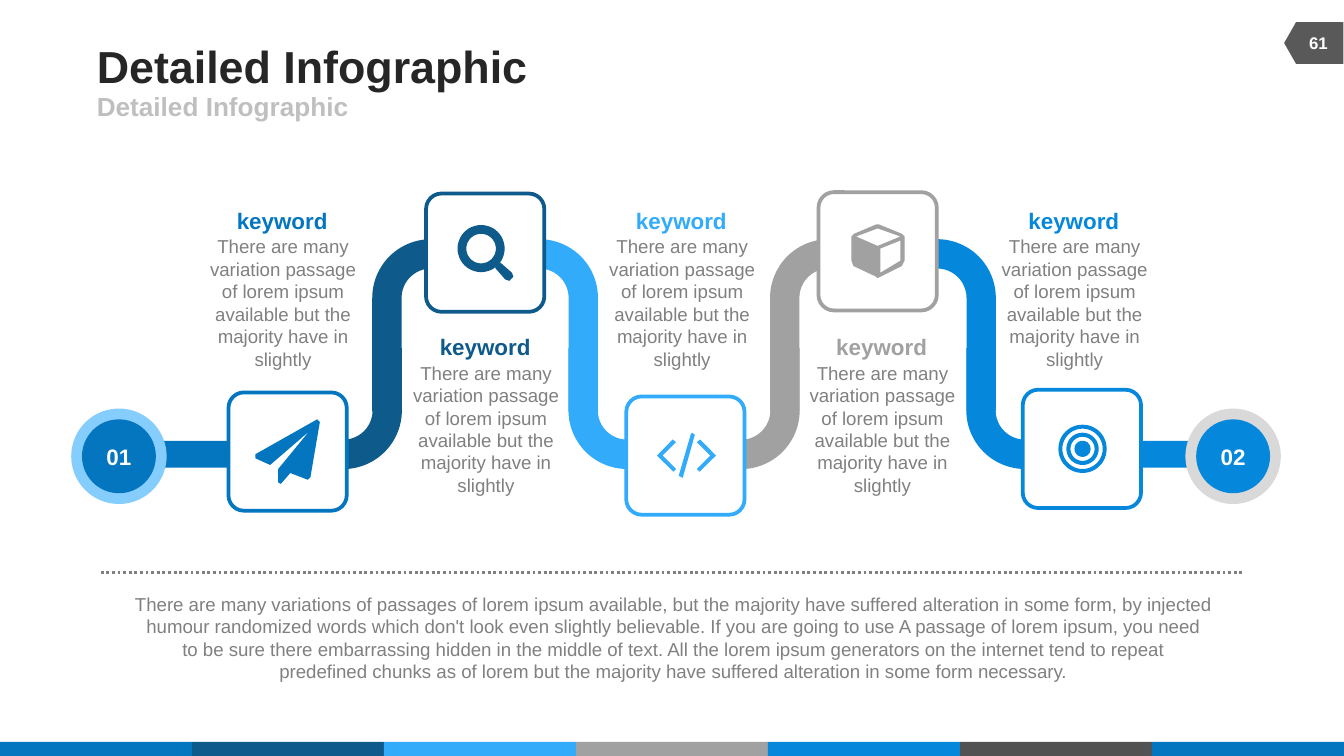
"""Builds a five-step winding process infographic on a grid of 0.1 inch cells."""
import math

import lxml.etree
import pptx
import pptx.dml.color
import pptx.enum.dml
import pptx.enum.shapes
import pptx.enum.text
import pptx.oxml.ns
import pptx.util

RGBColor = pptx.dml.color.RGBColor
Shape = pptx.enum.shapes.MSO_SHAPE
Anchor = pptx.enum.text.MSO_ANCHOR
Align = pptx.enum.text.PP_ALIGN

BLUE = RGBColor(0x04, 0x76, 0xBF)
NAVY = RGBColor(0x0E, 0x5A, 0x8B)
SKY = RGBColor(0x32, 0xAC, 0xFA)
SILVER = RGBColor(0xA1, 0xA1, 0xA1)
AZURE = RGBColor(0x05, 0x88, 0xDB)
CHARCOAL = RGBColor(0x52, 0x52, 0x52)
TAG_GREY = RGBColor(0x59, 0x59, 0x59)
TITLE_INK = RGBColor(0x26, 0x26, 0x26)
SUBTITLE_GREY = RGBColor(0xBF, 0xBF, 0xBF)
TEXT_GREY = RGBColor(0x80, 0x80, 0x80)
PALE_BLUE = RGBColor(0x84, 0xCD, 0xFC)
PALE_GREY = RGBColor(0xD9, 0xD9, 0xD9)
WHITE = RGBColor(0xFF, 0xFF, 0xFF)

COLUMNS, ROWS = 100, 56.25
TILE = 8.8
SHAFT = 2.2
CAPTION = "There are many variation passage\vof lorem ipsum available but the majority have in slightly"
SUMMARY = (
    "There are many variations of passages of lorem ipsum available, but the majority have "
    "suffered alteration in some form, by injected humour randomized words which don't look "
    "even slightly believable. If you are going to use A passage of lorem ipsum, you need\v"
    "to be sure there embarrassing hidden in the middle of text. All the lorem ipsum "
    "generators on the internet tend to repeat\vpredefined chunks as of lorem but the "
    "majority have suffered alteration in some form necessary."
)


def cells(*lengths):
    """Turn grid lengths into slide lengths."""
    return [pptx.util.Inches(length / 10) for length in lengths]


def circle(x, y, radius, steps=48):
    """Return the points of a circle."""
    angles = [2 * math.pi * step / steps for step in range(steps)]
    return [(x + radius * math.cos(a), y + radius * math.sin(a)) for a in angles]


PLANE = [[(240, -220), (170, 190), (150, 210), (20, 160), (-50, 240), (-70, 230), (-70, 130),
          (160, -150), (-130, 100), (-240, 50), (-240, 20), (220, -240)]]
MAGNIFIER = [circle(-30, -30, 175), circle(-30, -30, 110),
             [(115, 75), (200, 150), (210, 180), (180, 210), (150, 200), (75, 115)]]
CHEVRON = [(-90, 120), (-212, 0), (-95, -120), (-70, -100), (-170, 0), (-70, 100)]
CODE = [CHEVRON, [(15 - x, y) for x, y in CHEVRON],
        [(-20, 165), (-50, 150), (40, -160), (50, -170), (70, -155)]]
CUBE = [[(200, 70), (180, 110), (20, 190), (0, 200), (-10, 190), (-180, 110), (-195, 70),
         (-195, -110), (-175, -130), (-10, -200), (10, -200), (180, -130), (200, -110)],
        [(170, -110), (0, -170), (-160, -110), (0, -40)],
        [(170, 70), (170, -80), (20, -20), (20, 160)]]
TARGET = [circle(5, 0, radius) for radius in (180, 150, 120, 90, 60)]

STEPS = [
    (BLUE, (21.4, 33.6), (14.8, 15.4), PLANE),
    (NAVY, (36.1, 18.8), (29.9, 24.8), MAGNIFIER),
    (SKY, (51, 33.9), (44.5, 15.4), CODE),
    (SILVER, (65.3, 18.7), (59.4, 24.8), CUBE),
    (AZURE, (80.5, 33.4), (73.7, 15.4), TARGET),
]
BENDS = [(NAVY, 27.7), (SKY, 42.3), (SILVER, 57.3), (AZURE, 71.9)]


def write(box, text, size, color, bold=False, align=Align.CENTER, anchor=Anchor.MIDDLE, wrap=True):
    """Fill a shape with one formatted paragraph and no insets."""
    frame = box.text_frame
    frame.auto_size = pptx.enum.text.MSO_AUTO_SIZE.NONE
    frame.margin_left = frame.margin_right = frame.margin_top = frame.margin_bottom = 0
    frame.word_wrap = wrap
    frame.vertical_anchor = anchor
    frame.text = text
    para = frame.paragraphs[0]
    para.alignment = align
    para.space_before = pptx.util.Pt(0)
    for span in para.runs:
        span.font.name = "Arial"
        span.font.size = pptx.util.Pt(size)
        span.font.bold = bold
        span.font.color.rgb = color


def add_text(page, bounds, text, size, color, **options):
    """Add a text box."""
    write(page.shapes.add_textbox(*cells(*bounds)), text, size, color, **options)


def add_block(page, kind, bounds, fill, outline=None, adjustments=()):
    """Add a flat preset shape."""
    block = page.shapes.add_shape(kind, *cells(*bounds))
    block.shadow.inherit = False
    block.fill.solid()
    block.fill.fore_color.rgb = fill
    if outline is None:
        block.line.fill.background()
    else:
        block.line.color.rgb = outline
        block.line.width = pptx.util.Pt(2)
    for index, value in enumerate(adjustments):
        block.adjustments[index] = value
    return block


def add_bend(page, color, left, rising):
    """Add an S-shaped link made of an upper and a lower bent band."""
    inner = left + SHAFT - 8.4
    shape = (0.26, 0.13, 0, 0.52)
    upper = add_block(page, Shape.BENT_ARROW, (left if rising else inner, 17.8, 8.4, 12.8),
                      color, adjustments=shape)
    lower = add_block(page, Shape.BENT_ARROW, (inner if rising else left, 25.9, 8.4, 9),
                      color, adjustments=shape)
    if rising:
        lower.rotation = 180
    else:
        upper.element.spPr.xfrm.set("flipH", "1")
        lower.element.spPr.xfrm.set("flipV", "1")


def add_icon(page, center, contours, color):
    """Add a filled outline, drawn in thousandths of an inch around its center."""
    builder = page.shapes.build_freeform(*contours[0][0], scale=pptx.util.Inches(0.001))
    for index, points in enumerate(contours):
        if index:
            builder.move_to(*points[0])
        builder.add_line_segments(points[1:], close=True)
    icon = builder.convert_to_shape(*cells(*center))
    icon.shadow.inherit = False
    icon.fill.solid()
    icon.fill.fore_color.rgb = color
    icon.line.fill.background()


def add_step(page, color, center, contours):
    """Add a rounded tile with its icon."""
    x, y = center
    add_block(page, Shape.ROUNDED_RECTANGLE, (x - TILE / 2, y - TILE / 2, TILE, TILE),
              WHITE, color, (0.13,))
    add_icon(page, center, contours, color)


def add_caption(page, color, corner):
    """Add a keyword with its description below."""
    x, y = corner
    add_text(page, (x + 2.8, y, 6.8, 2), "keyword", 12, color, bold=True, wrap=False)
    add_text(page, (x, y + 2.1, 12.5, 10.1), CAPTION, 10, TEXT_GREY, anchor=Anchor.TOP)


def add_badge(page, left, ring, color, label):
    """Add a numbered disc inside a ring."""
    add_block(page, Shape.OVAL, (left, 30.4, 7.1, 7.1), ring)
    disc = add_block(page, Shape.OVAL, (left + 0.8, 31.2, 5.5, 5.5), color)
    write(disc, label, 12, WHITE, bold=True)


def add_divider(page):
    """Add the dotted rule above the summary."""
    rule = page.shapes.add_connector(pptx.enum.shapes.MSO_CONNECTOR.STRAIGHT,
                                     *cells(7.5, 42.6, 92.5, 42.6))
    rule.line.color.rgb = TEXT_GREY
    rule.line.width = pptx.util.Pt(1.5)
    rule.line.dash_style = pptx.enum.dml.MSO_LINE.ROUND_DOT
    lxml.etree.SubElement(rule.element.spPr, pptx.oxml.ns.qn("a:effectLst"))


def fill_heading(page):
    """Place and format the title and the subtitle."""
    title, subtitle = page.shapes.title, page.placeholders[1]
    for box, bounds, size, color in ((title, (7.2, 2.9, 61.7, 3.9), 24, TITLE_INK),
                                     (subtitle, (7.2, 6.8, 45, 2.2), 14, SUBTITLE_GREY)):
        box.left, box.top, box.width, box.height = cells(*bounds)
        write(box, "Detailed Infographic", size, color, bold=True, align=Align.LEFT, wrap=False)
    properties = subtitle.text_frame.paragraphs[0]._p.get_or_add_pPr()
    properties.set("marL", "0")
    properties.set("indent", "0")
    lxml.etree.SubElement(properties, pptx.oxml.ns.qn("a:buNone"))


def main():
    """Build and save the slide."""
    deck = pptx.Presentation()
    deck.slide_width, deck.slide_height = cells(COLUMNS, ROWS)
    page = deck.slides.add_slide(deck.slide_layouts[1])
    fill_heading(page)
    strip = (BLUE, NAVY, SKY, SILVER, AZURE, CHARCOAL, BLUE)
    band = COLUMNS / len(strip)
    for index, color in enumerate(strip):
        add_block(page, Shape.RECTANGLE, (index * band, 55.2, band, 1.05), color)
    tag = add_block(page, Shape.FLOWCHART_OFFPAGE_CONNECTOR, (96.2, 1, 3.1, 4.4), TAG_GREY)
    tag.rotation = 90
    add_text(page, (96, 1.7, 4.2, 3), "61", 9, WHITE, bold=True)
    for index, (color, left) in enumerate(BENDS):
        add_bend(page, color, left, rising=index % 2 == 0)
    add_block(page, Shape.RECTANGLE, (8.3, 32.8, 9, 2), BLUE)
    add_block(page, Shape.RECTANGLE, (85, 32.8, 7.5, 2), AZURE)
    for color, center, corner, contours in STEPS:
        add_caption(page, color, corner)
        add_step(page, color, center, contours)
    add_text(page, (7.6, 44.1, 84.9, 6.7), SUMMARY, 10, TEXT_GREY, anchor=Anchor.TOP)
    add_divider(page)
    add_badge(page, 5.3, PALE_BLUE, BLUE, "01")
    add_badge(page, 88.2, PALE_GREY, AZURE, "02")
    deck.save("out.pptx")


if __name__ == "__main__":
    main()
